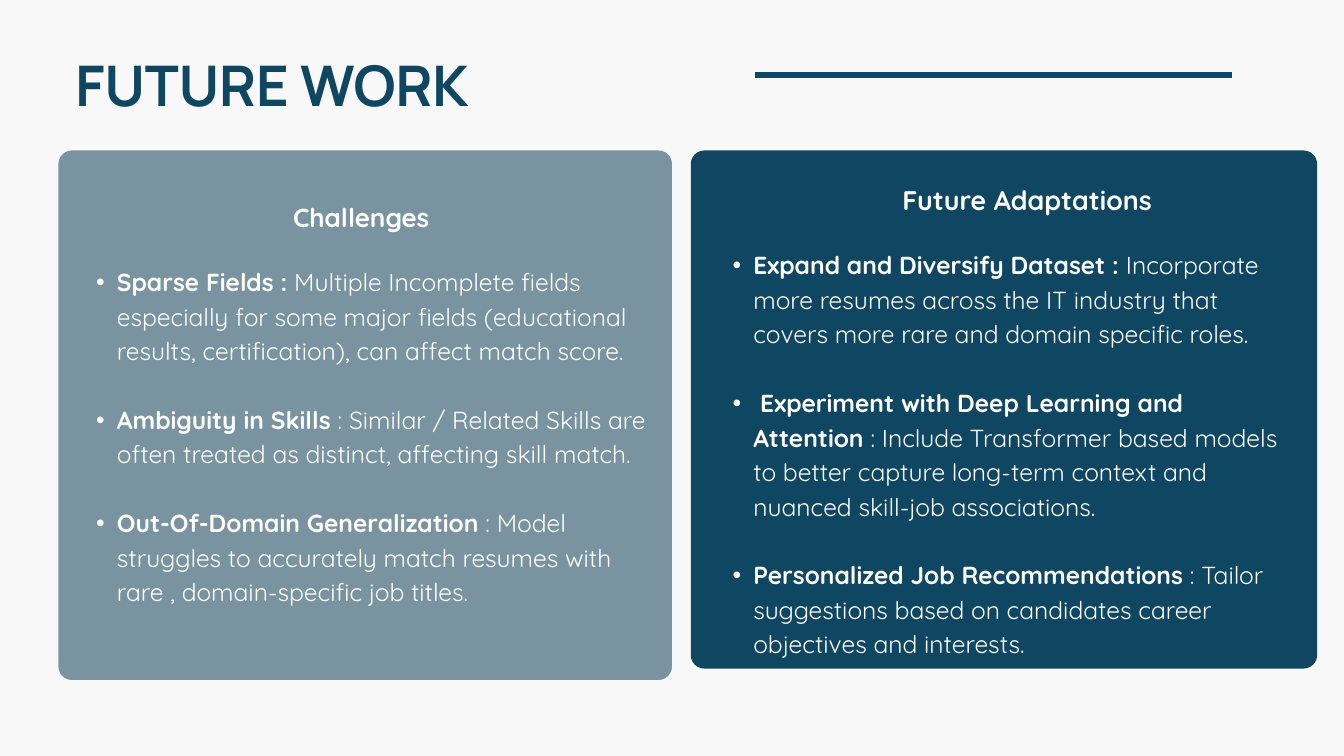
from dataclasses import dataclass

from lxml import etree
from pptx import Presentation
from pptx.dml.color import RGBColor
from pptx.enum.shapes import MSO_CONNECTOR, MSO_SHAPE
from pptx.enum.text import PP_ALIGN
from pptx.oxml.ns import qn
from pptx.util import Inches, Pt

LEFT, CENTER = PP_ALIGN.LEFT, PP_ALIGN.CENTER
ROUNDED, STRAIGHT = MSO_SHAPE.ROUNDED_RECTANGLE, MSO_CONNECTOR.STRAIGHT


@dataclass(frozen=True)
class Theme:
    background: str = "F8F8F8"
    navy: str = "0F4662"
    slate: str = "7994A0"
    white: str = "FFFFFF"
    title_font: str = "Manrope"
    body_font: str = "Quicksand"
    title_size: float = 60
    title_leading: float = 84
    body_size: float = 26.4
    body_leading: float = 36.9
    rule_width: float = 6


THEME = Theme()
SLIDE_W, SLIDE_H = Inches(20), Inches(11.25)
CORNER, INDENT = Inches(0.2), Inches(0.31)

# All places are percentages of the slide: left, top, width, height.
TITLE = ("FUTURE WORK", (5.6, 5.16, 44.4, 10.67))
RULE = (56.15, 9.96, 35.5, 0)
CARDS = [
    {
        "heading": "Challenges",
        "heading_size": 28,
        "heading_leading": 39.2,
        "fill": THEME.slate,
        "card_box": (4.35, 19.91, 45.65, 70.04),
        "heading_box": (13.8, 25.96, 26.15, 4.8),
        "points_box": (5.6, 34.67, 42.95, 45.16),
        "points": [
            ("Sparse Fields : ",
             "Multiple Incomplete fields especially for some major fields "
             "(educational results, certification), can affect match score."),
            ("Ambiguity in Skills ",
             ": Similar / Related Skills are often treated as distinct, "
             "affecting skill match."),
            ("Out-Of-Domain Generalization",
             " : Model struggles to accurately match resumes with rare , "
             "domain-specific job titles."),
        ],
    },
    {
        "heading": "Future Adaptations",
        "heading_size": 28.8,
        "heading_leading": 40.3,
        "fill": THEME.navy,
        "card_box": (51.4, 19.91, 46.6, 68.53),
        "heading_box": (63, 23.64, 26.85, 9.78),
        "points_box": (52.95, 32.47, 43.45, 54.2),
        "points": [
            ("Expand and Diversify Dataset : ",
             "Incorporate more resumes across the IT industry that covers "
             "more rare and domain specific roles."),
            (" Experiment with Deep Learning and Attention ",
             ": Include Transformer based models to better capture long-term "
             "context and nuanced skill-job associations."),
            ("Personalized Job Recommendations",
             " : Tailor suggestions based on candidates career objectives "
             "and interests."),
        ],
    },
]


def to_emu(box):
    """Turn percentages of the slide into lengths."""
    return [round(share * side / 100)
            for share, side in zip(box, (SLIDE_W, SLIDE_H) * 2)]


def add_bullet(paragraph):
    properties = paragraph._p.get_or_add_pPr()
    properties.set("marL", str(2 * INDENT))
    properties.set("indent", str(-INDENT))
    etree.SubElement(properties, qn("a:buFont")).set("typeface", "Arial")
    etree.SubElement(properties, qn("a:buChar")).set("char", "•")


def add_text(slide, box, paragraphs, *, size, leading, color=THEME.white,
             font=THEME.body_font, align=LEFT, bulleted=False):
    """Each paragraph is a bold lead and a regular remainder."""
    frame = slide.shapes.add_textbox(*to_emu(box)).text_frame
    frame.word_wrap = True
    frame.margin_left = frame.margin_right = 0
    frame.margin_top = frame.margin_bottom = 0
    for index, (lead, remainder) in enumerate(paragraphs):
        paragraph = frame.add_paragraph() if index else frame.paragraphs[0]
        paragraph.alignment = align
        paragraph.line_spacing = Pt(leading)
        paragraph.space_before = Pt(leading if index else 0)
        if bulleted:
            add_bullet(paragraph)
        for words, bold in ((lead, True), (remainder, False)):
            if words:
                run = paragraph.add_run()
                run.text = words
                run.font.name = font
                run.font.size = Pt(size)
                run.font.bold = bold
                run.font.color.rgb = RGBColor.from_string(color)


def add_rule(slide):
    left, top, width, height = to_emu(RULE)
    rule = slide.shapes.add_connector(STRAIGHT, left, top, left + width, top + height)
    rule.line.color.rgb = RGBColor.from_string(THEME.navy)
    rule.line.width = Pt(THEME.rule_width)
    etree.SubElement(rule._element.spPr, qn("a:effectLst"))


def add_card(slide, card):
    panel = slide.shapes.add_shape(ROUNDED, *to_emu(card["card_box"]))
    panel.adjustments[0] = CORNER / min(panel.width, panel.height)
    panel.shadow.inherit = False
    panel.fill.solid()
    panel.fill.fore_color.rgb = RGBColor.from_string(card["fill"])
    panel.line.fill.background()
    add_text(slide, card["heading_box"], [(card["heading"], "")], align=CENTER,
             size=card["heading_size"], leading=card["heading_leading"])
    add_text(slide, card["points_box"], card["points"], bulleted=True,
             size=THEME.body_size, leading=THEME.body_leading)


def main():
    deck = Presentation()
    deck.slide_width, deck.slide_height = SLIDE_W, SLIDE_H
    slide = deck.slides.add_slide(deck.slide_layouts[6])
    slide.background.fill.solid()
    slide.background.fill.fore_color.rgb = RGBColor.from_string(THEME.background)

    add_rule(slide)
    title, title_box = TITLE
    add_text(slide, title_box, [(title, "")], size=THEME.title_size,
             leading=THEME.title_leading, color=THEME.navy, font=THEME.title_font)
    for card in CARDS:
        add_card(slide, card)
    deck.save("out.pptx")


if __name__ == "__main__":
    main()
